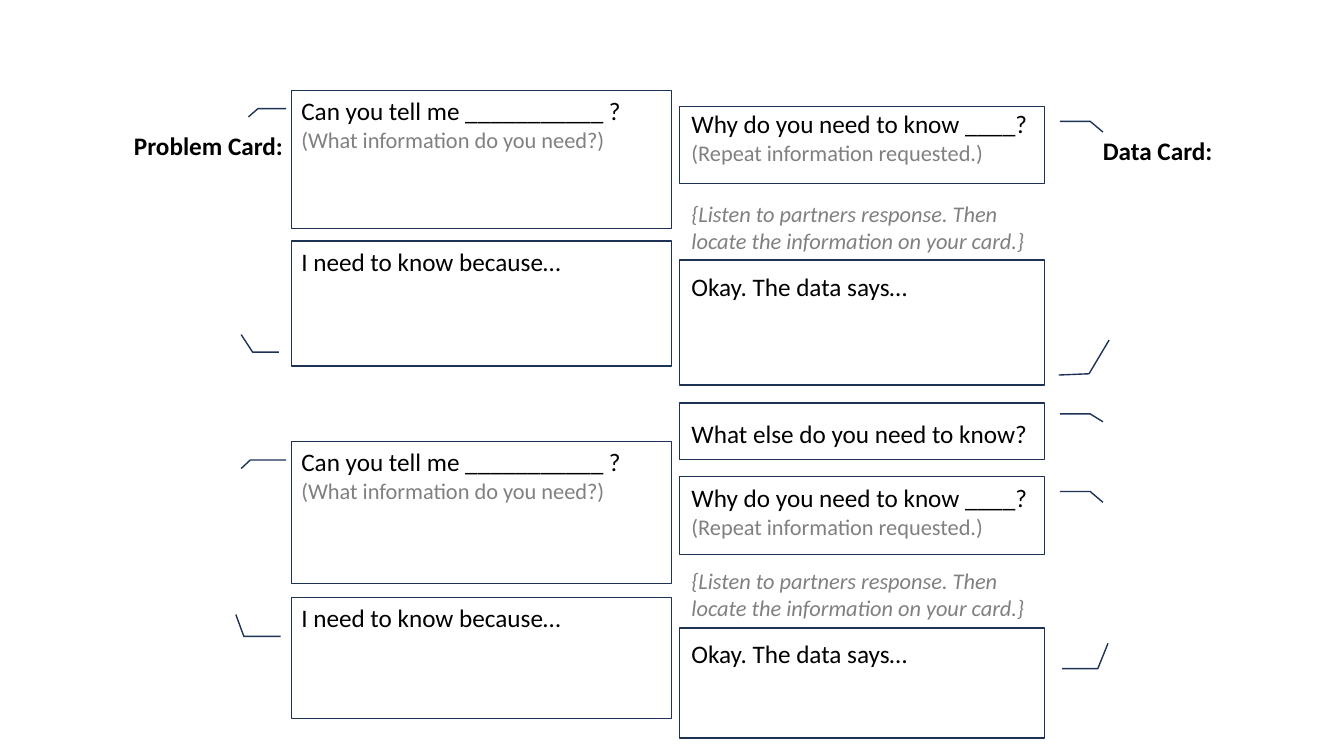
"""Build a conversation guide slide with problem card and data card prompts."""
import pptx
import pptx.util
import pptx.dml.color
import pptx.enum.shapes
import pptx.enum.text

Inches = pptx.util.Inches
Pt = pptx.util.Pt
NAVY = pptx.dml.color.RGBColor(0x1E, 0x32, 0x56)
BLACK = pptx.dml.color.RGBColor(0, 0, 0)
GRAY = pptx.dml.color.RGBColor(0x80, 0x80, 0x80)
CALLOUT = pptx.enum.shapes.MSO_SHAPE.LINE_CALLOUT_2

ASK = [("Can you tell me ___________ ?", "say", 0),
       ("(What information do you need?)", "hint", 0)]
NEED = [("I need to know because…", "say", 0)]
WHY = "Why do you need to know ____?"
REPEAT = ("(Repeat information requested.)", "hint", 0)
LISTEN = "{Listen to partners response. Then locate the information on your card.}"
DATA = ("Okay. The data says…", "say", 12.2)
STYLES = {"say": (18, BLACK, False, False), "hint": (16, GRAY, False, False),
          "note": (16, GRAY, False, True), "head": (18, BLACK, True, False)}

prs = pptx.Presentation()
prs.slide_width = Inches(13.33)
prs.slide_height = Inches(7.5)
slide = prs.slides.add_slide(prs.slide_layouts[6])


def write(shape, lines):
    frame = shape.text_frame
    frame.word_wrap = True
    frame.vertical_anchor = pptx.enum.text.MSO_ANCHOR.TOP
    for i, (text, style, gap) in enumerate(lines):
        para = frame.paragraphs[0] if i == 0 else frame.add_paragraph()
        para.text = text
        para.alignment = pptx.enum.text.PP_ALIGN.LEFT
        if gap:
            para.space_before = Pt(gap)
        font = para.font
        size, font.color.rgb, font.bold, font.italic = STYLES[style]
        font.size = Pt(size)
        font.name = "Calibri"


def frame_box(left, top, width, height, bends):
    box = slide.shapes.add_shape(CALLOUT, Inches(left), Inches(top),
                                 Inches(width), Inches(height))
    box.shadow.inherit = False
    box.fill.background()
    box.line.color.rgb = NAVY
    box.line.width = Pt(1)
    for i, bend in enumerate(bends):
        box.adjustments[i] = bend
    return box


for top, height, bends, lines in [
    (0.9, 1.37, (0.13, -0.014, 0.13, -0.088, 0.19, -0.113), ASK),
    (2.39, 1.24, (0.89, -0.033, 0.89, -0.102, 0.75, -0.132), NEED),
    (4.38, 1.41, (0.13, -0.014, 0.13, -0.108, 0.19, -0.132), ASK),
    (5.93, 1.2, (0.32, -0.028, 0.32, -0.125, 0.14, -0.146), NEED),
]:
    write(frame_box(2.89, top, 3.77, height, bends), lines)

SHORT = (0.19, -0.042, 0.19, -0.125, 0.33, -0.16)
for top, height, bends in [
    (1.06, 0.76, SHORT),
    (2.58, 1.24, (0.92, -0.039, 0.91, -0.122, 0.64, -0.177)),
    (4, 0.56, SHORT),
    (4.73, 0.77, SHORT),
    (6.23, 1.09, (0.37, -0.048, 0.37, -0.146, 0.14, -0.174)),
]:
    box = frame_box(6.74, top, 3.62, height, bends)
    box._element.spPr.xfrm.set("flipH", "1")

for left, top, width, height, lines in [
    (6.76, 1.03, 3.6, 2.22,
     [(WHY, "say", 0), REPEAT, (LISTEN, "note", 24.4), DATA]),
    (6.76, 4.1, 3.6, 2.59,
     [("What else do you need to know?", "say", 0), (WHY, "say", 24.4),
      REPEAT, (LISTEN, "note", 19.5), DATA]),
    (1.23, 1.24, 1.89, 0.4, [("Problem Card:", "head", 0)]),
    (10.84, 1.29, 1.53, 0.4, [("Data Card:", "head", 0)]),
]:
    write(slide.shapes.add_textbox(Inches(left), Inches(top), Inches(width),
                                   Inches(height)), lines)

prs.save("out.pptx")
